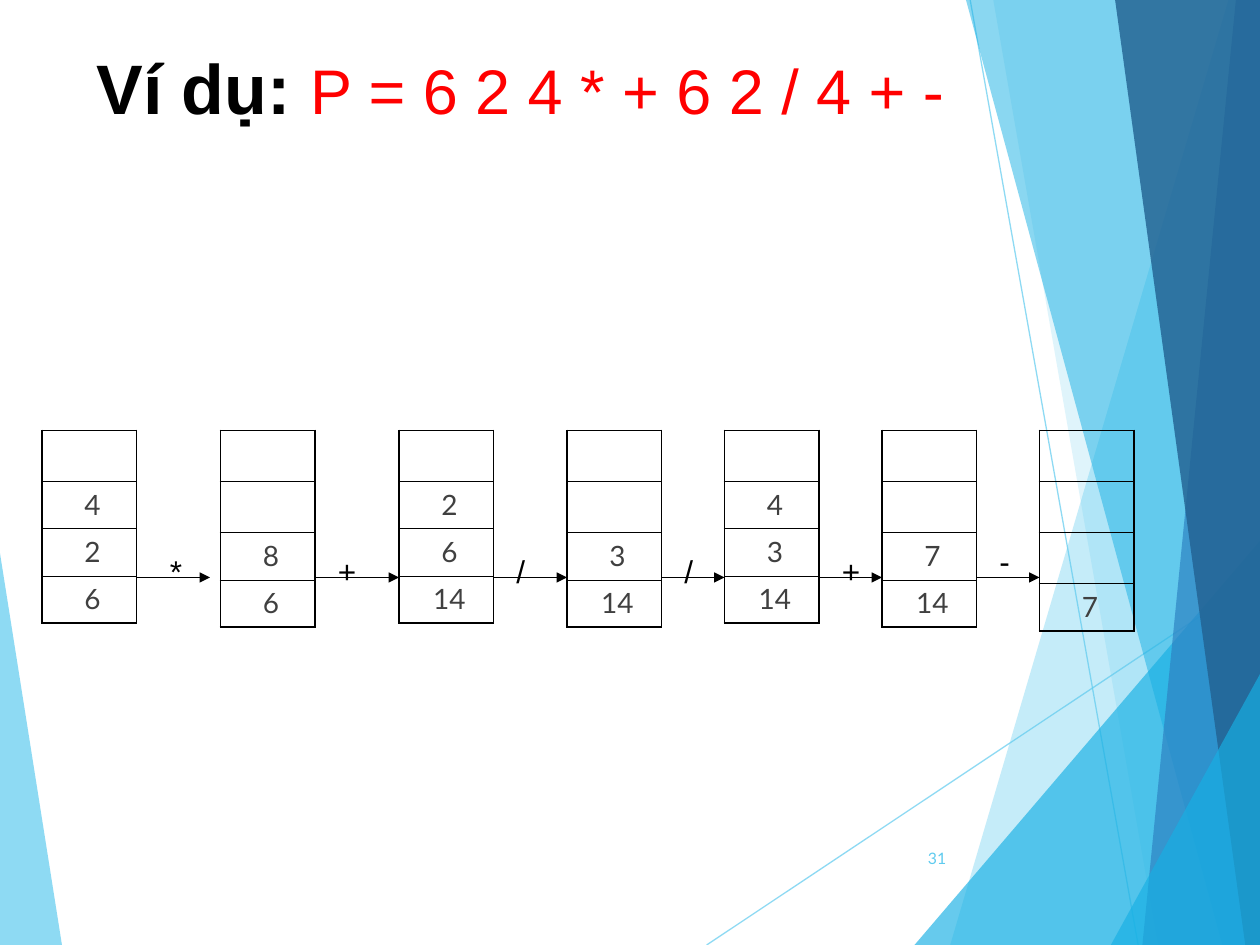
import lxml.etree
import pptx
import pptx.dml.color
import pptx.enum.shapes
import pptx.enum.text
import pptx.oxml.ns
import pptx.util

PX = 7620  # EMU per px, 120 px to the inch
WIDTH, HEIGHT = 1200, 900
THEME = {
    "sky": "5FCBEF", "cyan": "17B0E4", "blue": "2E83C3", "navy": "236292",
    "black": "000000", "red": "FF0000", "grey": "404040",
    "heading": {"name": "Arial", "size": pptx.util.Pt(40), "bold": True},
    "expression": {"name": "Arial", "size": pptx.util.Pt(36), "bold": False},
    "operator": {"name": "Arial", "size": pptx.util.Pt(18)},
    "value": {"name": "Lato", "size": pptx.util.Pt(16)},
    "number": {"name": "Lato", "size": pptx.util.Pt(9)},
    "thin": 0.75, "outer": 1.08, "inner": 0.45,
}
ALIGN = pptx.enum.text.PP_ALIGN
qn = pptx.oxml.ns.qn


def add_run(paragraph, text, style, color):
    run = paragraph.add_run()
    run.text = text
    for name, value in THEME[style].items():
        setattr(run.font, name, value)
    run.font.color.rgb = pptx.dml.color.RGBColor.from_string(THEME[color])


def add_line(start, end, color):
    """Draw a thin straight connector between two points in px."""
    line = slide.shapes.add_connector(
        pptx.enum.shapes.MSO_CONNECTOR.STRAIGHT, *(value * PX for value in start + end))
    line.line.width = pptx.util.Pt(THEME["thin"])
    line.line.color.rgb = pptx.dml.color.RGBColor.from_string(THEME[color])
    lxml.etree.SubElement(line.element.spPr, qn("a:effectLst"))
    return line


presentation = pptx.Presentation()
presentation.slide_width = WIDTH * PX
presentation.slide_height = HEIGHT * PX
slide = presentation.slides.add_slide(presentation.slide_layouts[5])

# Background facets: points, colour, opacity in percent
right_edge = [(WIDTH, HEIGHT), (WIDTH, 0)]
facets = [
    ([(0, 527), (59, 900), (0, 900)], "sky", 70),
    ([(1170, 0), (905, 900)] + right_edge, "sky", 36),
    ([(946, 0), (1103, 900)] + right_edge, "sky", 20),
    ([(871, 900), (1200, 515), (1200, 900)], "cyan", 66),
    ([(920, 0), (1164, 900)] + right_edge, "cyan", 50),
    ([(1177, 0), (1088, 900)] + right_edge, "blue", 70),
    ([(1062, 0), (1186, 900)] + right_edge, "navy", 82),
    ([(1058, 900), (1200, 642), (1200, 900)], "cyan", 66),
]
decorations = [(add_line((673, 900), (1200, 549), "sky"), 70),
               (add_line((924, 0), (1084, 900), "sky"), 70)]
for points, color, opacity in facets:
    builder = slide.shapes.build_freeform(*points[0], scale=PX)
    builder.add_line_segments(points[1:])
    facet = builder.convert_to_shape()
    facet.shadow.inherit = False
    facet.fill.solid()
    facet.fill.fore_color.rgb = pptx.dml.color.RGBColor.from_string(THEME[color])
    facet.line.fill.background()
    decorations.append((facet, opacity))
for shape, opacity in decorations:
    for color_element in shape.element.iter(qn("a:srgbClr")):
        lxml.etree.SubElement(color_element, qn("a:alpha"), val=str(opacity * 1000))

# Title, brought in front of the facets
title = slide.shapes.title
title.element.getparent().append(title.element)
title.left, title.top, title.width, title.height = (
    value * PX for value in (80, 30, 833, 173))
title_format = {
    "vertical_anchor": pptx.enum.text.MSO_ANCHOR.TOP,
    "auto_size": pptx.enum.text.MSO_AUTO_SIZE.NONE,
    "margin_top": 12 * PX,
    "word_wrap": True,
}
for name, value in title_format.items():
    setattr(title.text_frame, name, value)
paragraph = title.text_frame.paragraphs[0]
paragraph.alignment = ALIGN.LEFT
add_run(paragraph, "Ví dụ: ", "heading", "black")
add_run(paragraph, "P = 6 2 4 * + 6 2 / 4 + -", "expression", "red")

# Stack states, bottom value last
STACK_TOP, STACK_WIDTH, ROW_HEIGHT, ROWS = 410, 90, 45, 4
stacks = [
    (40, ["4", "2", "6"]),
    (210, ["8", "6"]),
    (380, ["2", "6", "14"]),
    (540, ["3", "14"]),
    (690, ["4", "3", "14"]),
    (840, ["7", "14"]),
    (990, ["7"]),
]
for left, values in stacks:
    frame = slide.shapes.add_table(ROWS, 1, left * PX, STACK_TOP * PX,
                                   STACK_WIDTH * PX, ROWS * ROW_HEIGHT * PX)
    table = frame.table
    table.first_row = table.horz_banding = False
    for row in range(ROWS):
        cell = table.cell(row, 0)
        border_widths = {
            "L": THEME["outer"], "R": THEME["outer"],
            "T": THEME["outer" if row == 0 else "inner"],
            "B": THEME["outer" if row == ROWS - 1 else "inner"],
        }
        properties = cell._tc.get_or_add_tcPr()
        for side, width in border_widths.items():
            border = lxml.etree.SubElement(
                properties, qn("a:ln" + side), w=str(pptx.util.Pt(width)))
            fill = lxml.etree.SubElement(border, qn("a:solidFill"))
            lxml.etree.SubElement(fill, qn("a:srgbClr"), val=THEME["black"])
        cell.fill.background()
        index = row - (ROWS - len(values))
        if index >= 0:
            paragraph = cell.text_frame.paragraphs[0]
            paragraph.alignment = ALIGN.CENTER
            paragraph._p.get_or_add_pPr().set("marL", str(6 * PX))
            add_run(paragraph, values[index], "value", "grey")

# Arrows between neighbouring stacks
ARROW_Y = 550
for index, (left, values) in enumerate(stacks[:-1]):
    gap = 10 if index == 0 else 0
    end = stacks[index + 1][0] - gap
    arrow = add_line((left + STACK_WIDTH, ARROW_Y), (end, ARROW_Y), "black")
    lxml.etree.SubElement(arrow.line._get_or_add_ln(), qn("a:tailEnd"), type="triangle")

# Operators and slide number: text, left, top, width, style, colour, alignment
labels = [
    ("*", 150, 520, 50, "operator", "black", ALIGN.LEFT),
    ("+", 310, 520, 50, "operator", "black", ALIGN.LEFT),
    ("/", 480, 520, 50, "operator", "black", ALIGN.LEFT),
    ("/", 640, 520, 50, "operator", "black", ALIGN.LEFT),
    ("+", 790, 520, 50, "operator", "black", ALIGN.LEFT),
    ("-", 940, 510, 50, "operator", "black", ALIGN.LEFT),
    ("31", 846, 793, 67, "number", "sky", ALIGN.RIGHT),
]
for text, left, top, width, style, color, alignment in labels:
    box = slide.shapes.add_textbox(left * PX, top * PX, width * PX, 48 * PX)
    box.text_frame.word_wrap = True
    if style == "number":
        box.text_frame.vertical_anchor = pptx.enum.text.MSO_ANCHOR.MIDDLE
    paragraph = box.text_frame.paragraphs[0]
    paragraph.alignment = alignment
    add_run(paragraph, text, style, color)

presentation.save("out.pptx")
